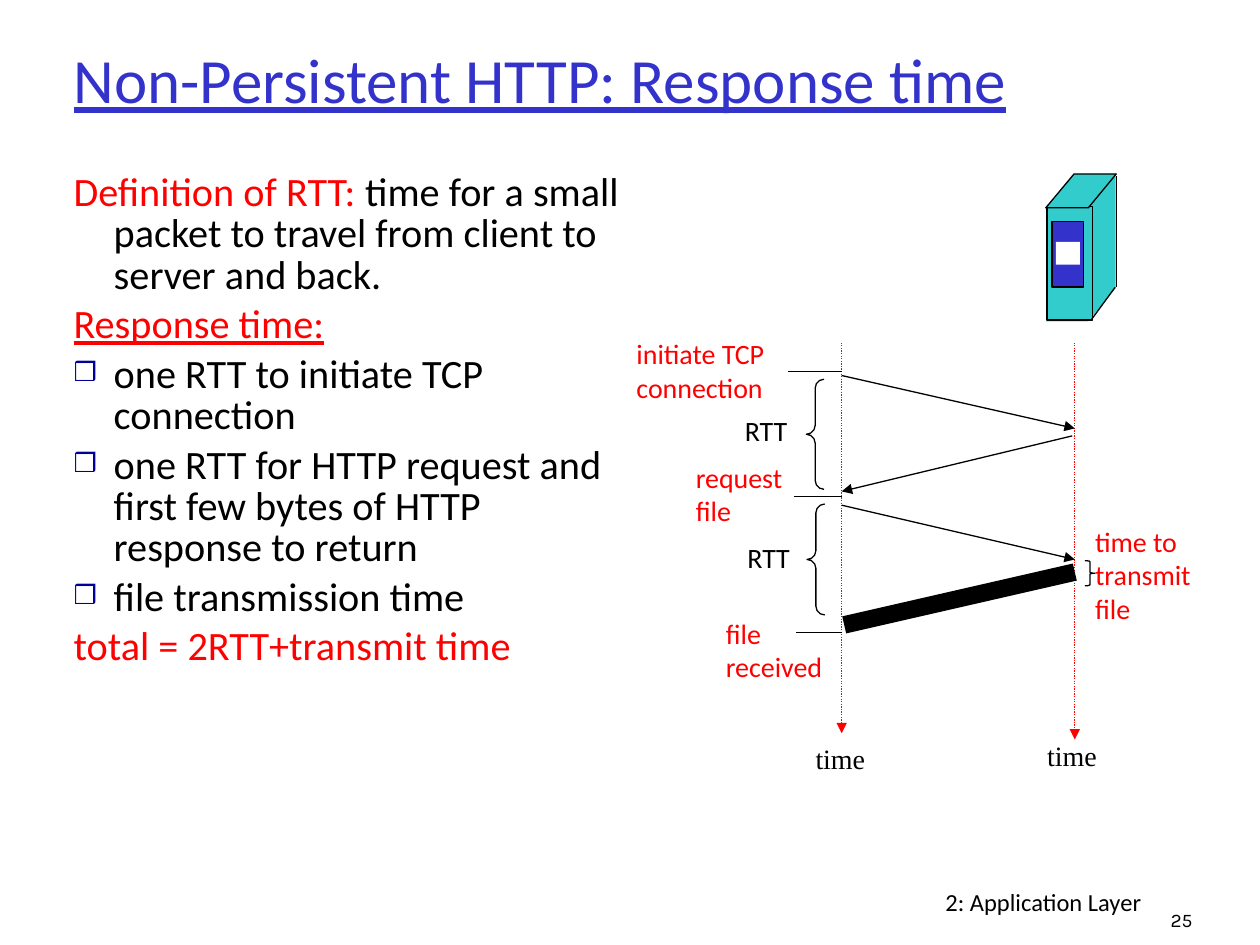
from dataclasses import dataclass

import pptx
import pptx.dml.color
import pptx.enum.dml
import pptx.enum.shapes
import pptx.enum.text
import pptx.oxml
import pptx.oxml.ns
import pptx.util

Pt = pptx.util.Pt
SHAPE = pptx.enum.shapes.MSO_SHAPE
ALIGN = pptx.enum.text.PP_ALIGN
FIT = pptx.enum.text.MSO_AUTO_SIZE
BLACK, RED, BLUE, TEAL, WHITE = "000000", "FF0000", "3333CC", "33CCCC", "FFFFFF"
NS = pptx.oxml.ns.nsdecls("a")


@dataclass
class Label:
    lines: tuple
    left: float
    top: float
    width: float
    height: float
    color: str = RED
    font: str = "Calibri"
    size: float = 16
    inset: float = 3
    wrap: bool = False
    align: ALIGN = ALIGN.LEFT


@dataclass
class Line:
    x1: float
    y1: float
    x2: float
    y2: float
    color: str = BLACK
    weight: float = 0.75
    dotted: bool = False
    arrow: bool = False


@dataclass
class Box:
    kind: SHAPE
    left: float
    top: float
    width: float
    height: float
    fill: str = ""
    line: str = BLACK
    curve: float = 0


@dataclass
class Item:
    runs: tuple
    bullet: bool = False


def rgb(color: str):
    return pptx.dml.color.RGBColor.from_string(color)


def add_run(p, text: str, size=16, font="Calibri", color=BLACK, underline=False):
    r = p.add_run()
    r.text = text
    r.font.size = Pt(size)
    r.font.name = font
    r.font.color.rgb = rgb(color)
    r.font.underline = underline
    return r


def set_insets(tf, inset: float):
    tf.margin_left = tf.margin_right = tf.margin_top = tf.margin_bottom = Pt(inset)


def place(sp, left: float, top: float, width: float, height: float):
    sp.left, sp.top, sp.width, sp.height = Pt(left), Pt(top), Pt(width), Pt(height)


def paint(sp, fill: str, line: str):
    sp.shadow.inherit = False
    if fill:
        sp.fill.solid()
        sp.fill.fore_color.rgb = rgb(fill)
    else:
        sp.fill.background()
    if line:
        sp.line.color.rgb = rgb(line)
        sp.line.width = Pt(0.75)
    else:
        sp.line.fill.background()


def draw_label(s, d: Label):
    sp = s.shapes.add_textbox(Pt(d.left), Pt(d.top), Pt(d.width), Pt(d.height))
    tf = sp.text_frame
    set_insets(tf, d.inset)
    tf.word_wrap = d.wrap
    tf.auto_size = FIT.SHAPE_TO_FIT_TEXT
    for i, text in enumerate(d.lines):
        p = tf.add_paragraph() if i else tf.paragraphs[0]
        p.alignment = d.align
        add_run(p, text, size=d.size, font=d.font, color=d.color)


def draw_line(s, d: Line):
    sp = s.shapes.add_connector(pptx.enum.shapes.MSO_CONNECTOR.STRAIGHT,
                                Pt(d.x1), Pt(d.y1), Pt(d.x2), Pt(d.y2))
    sp.line.color.rgb = rgb(d.color)
    sp.line.width = Pt(d.weight)
    if d.dotted:
        sp.line.dash_style = pptx.enum.dml.MSO_LINE.ROUND_DOT
    if d.arrow:
        sp.line._get_or_add_ln().append(pptx.oxml.parse_xml(f'<a:tailEnd {NS} type="triangle"/>'))
    sp._element.spPr.append(pptx.oxml.parse_xml(f"<a:effectLst {NS}/>"))


def draw_box(s, d: Box):
    sp = s.shapes.add_shape(d.kind, Pt(d.left), Pt(d.top), Pt(d.width), Pt(d.height))
    if d.curve:
        sp.adjustments[0] = d.curve
    paint(sp, d.fill, d.line)


def draw_slab(s, top: float, line: str):
    left, right, skew, height = 597.6, 637.9, 24.2, 19.4
    fb = s.shapes.build_freeform(Pt(left), Pt(top + height))
    fb.add_line_segments([(Pt(left + skew - 8), Pt(top)), (Pt(right), Pt(top)),
                          (Pt(right - 16), Pt(top + height))])
    paint(fb.convert_to_shape(), TEAL, line)


def fill_title(s, text: str):
    sp = s.shapes.title
    place(sp, 42, 0, 647, 90)
    tf = sp.text_frame
    set_insets(tf, 0)
    tf.auto_size = FIT.NONE
    tf.vertical_anchor = pptx.enum.text.MSO_ANCHOR.MIDDLE
    p = tf.paragraphs[0]
    p.alignment = ALIGN.LEFT
    add_run(p, text, size=36, color=BLUE, underline=True)


def fill_body(s, items: list):
    sp = s.placeholders[1]
    place(sp, 42, 99.5, 322, 440.5)
    tf = sp.text_frame
    set_insets(tf, 0)
    tf.auto_size = FIT.NONE
    for i, item in enumerate(items):
        p = tf.add_paragraph() if i else tf.paragraphs[0]
        p.line_spacing = 0.85
        p.space_before = Pt(5 if i else 0)
        pPr = p._p.get_or_add_pPr()
        pPr.set("marL", str(Pt(23)))
        pPr.set("indent", str(-Pt(23)))
        marks = (f'<a:buClr {NS}><a:srgbClr val="000099"/></a:buClr>',
                 f'<a:buSzPct {NS} val="65000"/>',
                 f'<a:buChar {NS} char="❒"/>') if item.bullet else (f"<a:buNone {NS}/>",)
        for mark in marks:
            pPr.append(pptx.oxml.parse_xml(mark))
        for text, color, underline in item.runs:
            add_run(p, text, size=23, color=color, underline=underline)


BODY = [
    Item((("Definition of RTT:", RED, False),
          (" time for a small packet to travel from client to server and back.", BLACK, False))),
    Item((("Response time:", RED, True),)),
    *[Item(((text, BLACK, False),), bullet=True) for text in (
        "one RTT to initiate TCP connection",
        "one RTT for HTTP request and first few bytes of HTTP response to return",
        "file transmission time")],
    Item((("total = 2RTT+transmit time", RED, False),)),
]
SERVER_FACES = [
    Box(SHAPE.RECTANGLE, 617.8, 100.1, 19.7, 64.8, TEAL, ""),
    Box(SHAPE.RECTANGLE, 598.3, 118.1, 25.9, 64.8, TEAL),
]
SERVER_PANEL = [
    Box(SHAPE.RECTANGLE, 601.2, 126.7, 18, 37.4, BLUE),
    Box(SHAPE.RECTANGLE, 603.4, 138.2, 13.7, 13, WHITE, ""),
]
BRACES = [
    Box(SHAPE.LEFT_BRACE, 460.8, 216.7, 10.1, 62.9, curve=0.5),
    Box(SHAPE.LEFT_BRACE, 461.2, 288, 10.1, 63.4, curve=0.5),
    Box(SHAPE.RIGHT_BRACE, 619.9, 320.4, 5.8, 14.4, curve=0.1),
]
CLIENT, SERVER = 481, 614.2
LINES = [
    Line(637.9, 100.8, 637.9, 164.2),
    Line(637.2, 164.2, 623.5, 182.9),
    Line(CLIENT, 195.8, CLIENT, 419, RED, dotted=True, arrow=True),
    Line(SERVER, 195.8, SERVER, 422.6, RED, dotted=True, arrow=True),
    Line(CLIENT, 214.6, SERVER, 244.8, arrow=True),
    Line(612.7, 249.1, CLIENT, 280.8, arrow=True),
    Line(CLIENT, 288.7, SERVER, 319.7, arrow=True),
    Line(SERVER, 326.9, 482.4, 357.1, weight=10),
    Line(450, 212.4, CLIENT, 212.4),
    Line(453.6, 283.7, CLIENT, 283.7),
    Line(455, 361.4, CLIENT, 361.4),
]
LABELS = [
    Label(("25",), 668.9, 519.1, 13, 13, BLACK, "Karla", 11, inset=0),
    Label(("2: Application Layer",), 426.2, 504, 229, 22.3, BLACK, size=14,
          wrap=True, align=ALIGN.RIGHT),
    Label(("time to", "transmit", "file"), 622.8, 296.6, 65.5, 63.4),
    Label(("initiate TCP", "connection"), 360.7, 189.4, 82.1, 43.9),
    Label(("request", "file"), 394.6, 259.9, 56.2, 43.9),
    Label(("file", "received"), 411.8, 349.2, 61.2, 43.9),
    Label(("RTT",), 422.6, 233.3, 34.6, 25.2, BLACK),
    Label(("RTT",), 424.1, 306, 34.6, 25.2, BLACK),
    Label(("time",), 463, 420.5, 35.3, 23, BLACK, "Times New Roman"),
    Label(("time",), 595.4, 419, 35.3, 23, BLACK, "Times New Roman"),
]


def main():
    prs = pptx.Presentation()
    prs.slide_width, prs.slide_height = Pt(720), Pt(540)
    s = prs.slides.add_slide(prs.slide_layouts[1])
    fill_title(s, "Non-Persistent HTTP: Response time")
    fill_body(s, BODY)
    draw_slab(s, 164.2, "")
    for box in SERVER_FACES:
        draw_box(s, box)
    draw_slab(s, 99.4, BLACK)
    for box in SERVER_PANEL + BRACES:
        draw_box(s, box)
    for line in LINES:
        draw_line(s, line)
    for label in LABELS:
        draw_label(s, label)
    prs.save("out.pptx")


if __name__ == "__main__":
    main()
